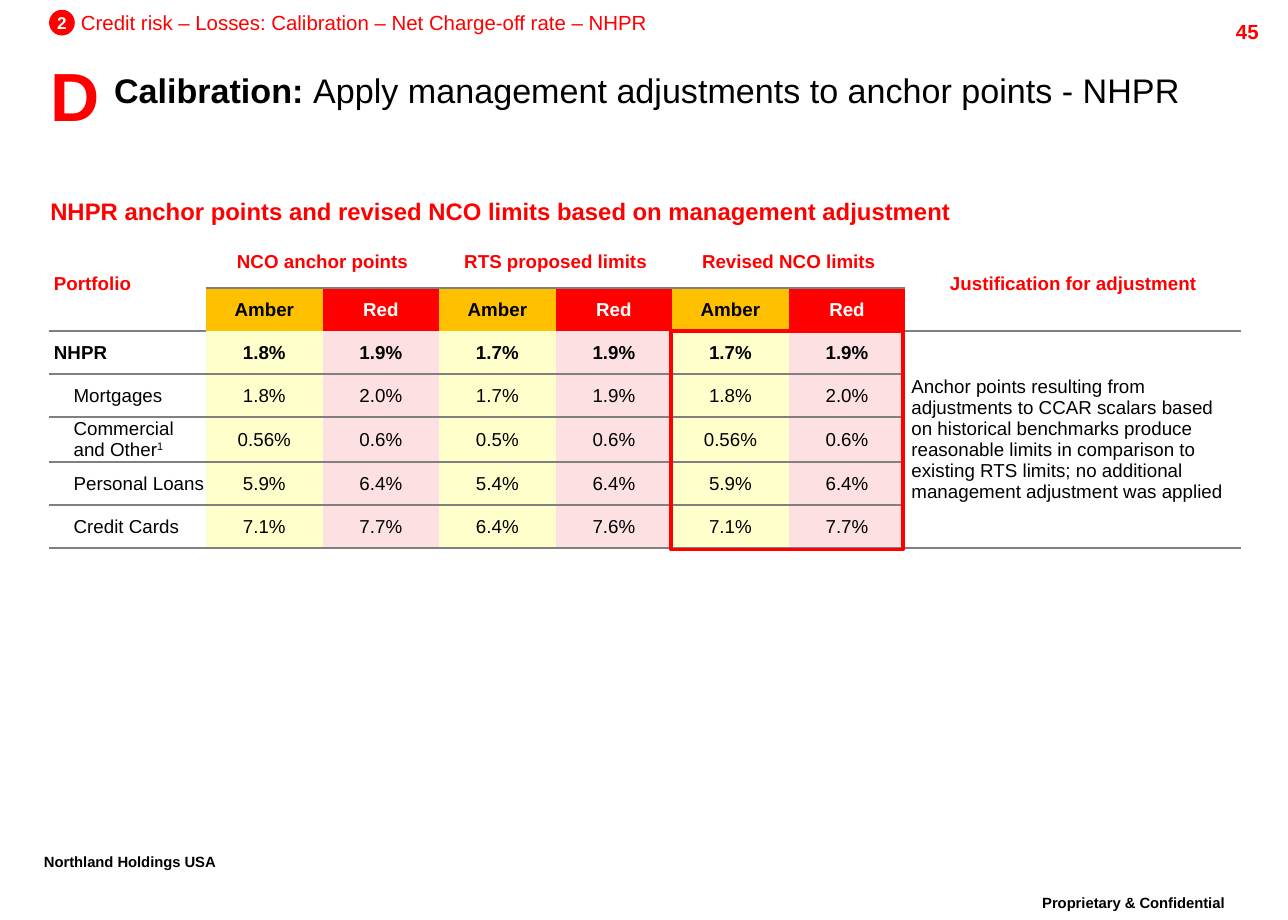
from dataclasses import dataclass

from lxml import etree
from pptx import Presentation
from pptx import util as u
from pptx.dml.color import RGBColor
from pptx.enum import shapes, text
from pptx.oxml import ns

PX = 9144  # EMU in one px, 100 px to the inch


@dataclass(frozen=True)
class Theme:
    font: str = "Arial"
    red: str = "FF0000"
    black: str = "000000"
    white: str = "FFFFFF"
    amber: str = "FFC000"
    pale_amber: str = "FFFFCC"
    pale_red: str = "FCE0E2"
    rule: str = "808080"
    letter: float = 40
    title: float = 20
    footer: float = 15
    heading: float = 14
    header: float = 12
    table: float = 11
    badge: float = 10


@dataclass(frozen=True)
class Label:
    words: str
    box: tuple[int, int, int, int]
    size: float
    color: str
    bold: bool = True
    align: text.PP_ALIGN = text.PP_ALIGN.LEFT
    pad: tuple[int, int] = (0, 0)
    raised: bool = False
    spacing: float = 1.0
    wrap: bool = False


T = Theme()
LEFT, CENTER, RIGHT = text.PP_ALIGN.LEFT, text.PP_ALIGN.CENTER, text.PP_ALIGN.RIGHT
MIDDLE = text.MSO_ANCHOR.MIDDLE

LABELS = [
    Label("Proprietary & Confidential", (815, 725, 218, 35), T.footer, T.black,
          align=CENTER, pad=(10, 5), raised=True, spacing=0.86, wrap=True),
    Label("Northland Holdings USA", (26, 691, 191, 35), T.footer, T.black,
          pad=(10, 5), raised=True, spacing=0.86),
    Label("45", (936, 11, 100, 24), T.header, T.red, align=RIGHT, pad=(10, 5), wrap=True),
    Label("Credit risk – Losses: Calibration – Net Charge-off rate – NHPR",
          (66, 8, 464, 20), T.header, T.red, bold=False),
    Label("NHPR anchor points and revised NCO limits based on management adjustment",
          (41, 160, 921, 24), T.heading, T.red, wrap=True),
    Label("D", (31, 39, 61, 77), T.letter, T.red, align=CENTER, pad=(10, 5)),
]

COLUMNS = [128] + [95] * 6 + [274]
ROWS = [42] + [35] * 6
GROUPS = ["NCO anchor points", "RTS proposed limits", "Revised NCO limits"]
PORTFOLIOS = [
    ("NHPR", "1.8% 1.9% 1.7% 1.9% 1.7% 1.9%"),
    ("Mortgages", "1.8% 2.0% 1.7% 1.9% 1.8% 2.0%"),
    ("Commercial and Other", "0.56% 0.6% 0.5% 0.6% 0.56% 0.6%"),
    ("Personal Loans", "5.9% 6.4% 5.4% 6.4% 5.9% 6.4%"),
    ("Credit Cards", "7.1% 7.7% 6.4% 7.6% 7.1% 7.7%"),
]
JUSTIFICATION = (
    "Anchor points resulting from adjustments to CCAR scalars based on historical "
    "benchmarks produce reasonable limits in comparison to existing RTS limits; "
    "no additional management adjustment was applied"
)


def emu(box: tuple[int, ...]) -> list[u.Emu]:
    return [u.Emu(n * PX) for n in box]


def set_font(font, size: float, color: str, bold: bool | None) -> None:
    font.name, font.size, font.bold = T.font, u.Pt(size), bold
    font.color.rgb = RGBColor.from_string(color)


def set_margins(owner, left: int, top: int, right: int, bottom: int) -> None:
    (owner.margin_left, owner.margin_top,
     owner.margin_right, owner.margin_bottom) = emu((left, top, right, bottom))


def superscript(r) -> None:
    r._r.get_or_add_rPr().set("baseline", "30000")


def add_label(slide, label: Label) -> None:
    tf = slide.shapes.add_textbox(*emu(label.box)).text_frame
    tf.word_wrap = label.wrap
    set_margins(tf, *label.pad, *label.pad)
    p = tf.paragraphs[0]
    p.alignment, p.line_spacing = label.align, label.spacing
    r = p.add_run()
    r.text = label.words
    set_font(p.font, label.size, label.color, label.bold)
    if label.raised:
        superscript(r)


def add_title(slide) -> None:
    sp = slide.shapes.title
    sp.left, sp.top, sp.width, sp.height = emu((93, 49, 893, 48))
    tf = sp.text_frame
    tf.auto_size = text.MSO_AUTO_SIZE.NONE
    tf.vertical_anchor = MIDDLE
    set_margins(tf, 0, 0, 0, 0)
    p = tf.paragraphs[0]
    p.alignment = LEFT
    set_font(p.font, T.title, T.black, None)
    for words, bold in (("Calibration: ", True),
                        ("Apply management adjustments to anchor points - NHPR", False)):
        r = p.add_run()
        r.text, r.font.bold = words, bold


def add_badge(slide) -> None:
    sp = slide.shapes.add_shape(shapes.MSO_SHAPE.OVAL, *emu((40, 8, 21, 21)))
    sp.shadow.inherit = False
    sp.fill.solid()
    sp.fill.fore_color.rgb = RGBColor.from_string(T.red)
    sp.line.fill.background()
    tf = sp.text_frame
    tf.word_wrap, tf.vertical_anchor = False, MIDDLE
    set_margins(tf, 0, 0, 0, 0)
    p = tf.paragraphs[0]
    p.text, p.alignment = "2", CENTER
    set_font(p.font, T.badge, T.white, True)


def fill_cell(cell, words: str, color: str = T.black, fill: str = T.white, bold: bool = False,
              align: text.PP_ALIGN = CENTER, pad: tuple[int, int, int, int] = (4, 3, 4, 3)):
    cell.fill.solid()
    cell.fill.fore_color.rgb = RGBColor.from_string(fill)
    cell.vertical_anchor = MIDDLE
    set_margins(cell, *pad)
    p = cell.text_frame.paragraphs[0]
    p.text, p.alignment = words, align
    set_font(p.font, T.table, color, bold)
    return p


def has_rule_below(row: int, col: int) -> bool:
    last_col = len(COLUMNS) - 1
    if row == 0:
        return 0 < col < last_col
    if row == 1:
        return col in (0, last_col)
    return row > 1 and (col < last_col or row == len(ROWS) - 1)


def set_borders(cell, row: int, col: int) -> None:
    bottom_row = row + cell.span_height - 1 if cell.is_merge_origin else row
    ruled = {"lnL": False, "lnR": False, "lnT": has_rule_below(row - 1, col),
             "lnB": has_rule_below(bottom_row, col)}
    tc_pr = cell._tc.get_or_add_tcPr()
    for i, (side, visible) in enumerate(ruled.items()):
        ln = etree.Element(ns.qn(f"a:{side}"), w=str(u.Pt(1)))
        tc_pr.insert(i, ln)
        paint = etree.SubElement(ln, ns.qn("a:solidFill" if visible else "a:noFill"))
        if visible:
            etree.SubElement(paint, ns.qn("a:srgbClr"), val=T.rule)


def add_limits_table(slide) -> None:
    box = emu((40, 193, sum(COLUMNS), sum(ROWS)))
    table = slide.shapes.add_table(len(ROWS), len(COLUMNS), *box).table
    table.first_row = table.horz_banding = False
    for col, width in zip(table.columns, COLUMNS):
        col.width = u.Emu(width * PX)
    for row, height in zip(table.rows, ROWS):
        row.height = u.Emu(height * PX)

    for top, bottom, col in ((0, 1, 0), (0, 1, 7), (2, 6, 7)):
        table.cell(top, col).merge(table.cell(bottom, col))
    fill_cell(table.cell(0, 0), "Portfolio", T.red, bold=True, align=LEFT)
    fill_cell(table.cell(0, 7), "Justification for adjustment", T.red, bold=True)
    fill_cell(table.cell(2, 7), JUSTIFICATION, align=LEFT, pad=(5, 5, 5, 5))

    for col, group in zip((1, 3, 5), GROUPS):
        table.cell(0, col).merge(table.cell(0, col + 1))
        fill_cell(table.cell(0, col), group, T.red, bold=True)
        fill_cell(table.cell(1, col), "Amber", T.black, T.amber, True)
        fill_cell(table.cell(1, col + 1), "Red", T.white, T.red, True)

    for row, (name, limits) in enumerate(PORTFOLIOS, 2):
        total = row == 2
        p = fill_cell(table.cell(row, 0), name, bold=total, align=LEFT,
                      pad=(4, 3, 4, 3) if total else (20, 0, 0, 0))
        if name == "Commercial and Other":
            r = p.add_run()
            r.text = "1"
            superscript(r)
        for col, limit in enumerate(limits.split(), 1):
            fill = T.pale_amber if col % 2 else T.pale_red
            fill_cell(table.cell(row, col), limit, fill=fill, bold=total, pad=(0, 0, 0, 0))

    for row in range(len(ROWS)):
        for col in range(len(COLUMNS)):
            set_borders(table.cell(row, col), row, col)


def add_revised_frame(slide) -> None:
    sp = slide.shapes.add_shape(shapes.MSO_SHAPE.RECTANGLE, *emu((547, 270, 189, 178)))
    sp.shadow.inherit = False
    sp.fill.background()
    sp.line.color.rgb = RGBColor.from_string(T.red)
    sp.line.width = u.Pt(2.25)


def main() -> None:
    prs = Presentation()
    prs.slide_width, prs.slide_height = emu((1050, 750))
    slide = prs.slides.add_slide(prs.slide_layouts[5])
    add_title(slide)
    for label in LABELS:
        add_label(slide, label)
    add_badge(slide)
    add_limits_table(slide)
    add_revised_frame(slide)
    prs.save("out.pptx")


if __name__ == "__main__":
    main()
